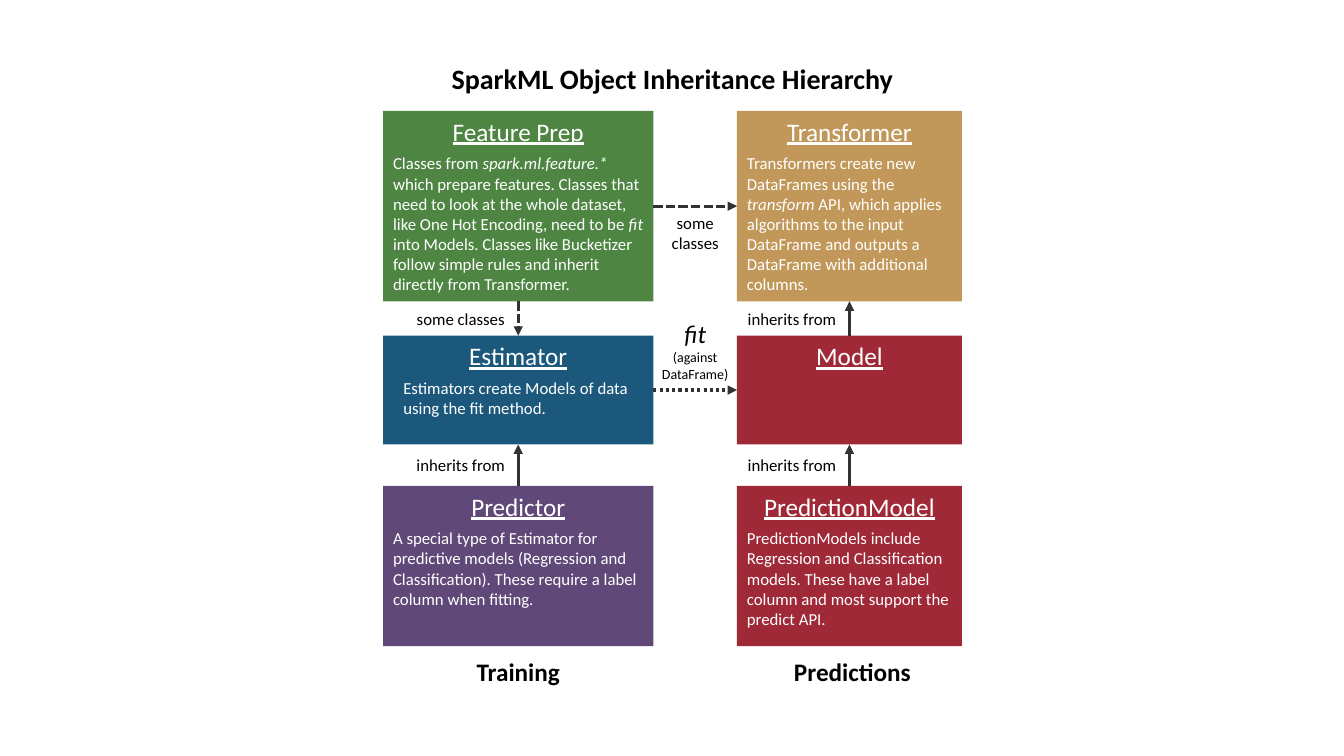
from lxml.etree import SubElement
from pptx import Presentation
from pptx.dml.color import RGBColor as Rgb
from pptx.enum.dml import MSO_LINE as Dash
from pptx.enum.shapes import MSO_CONNECTOR as Link, MSO_SHAPE as Form
from pptx.enum.text import MSO_ANCHOR as Anchor, MSO_AUTO_SIZE as Auto, PP_ALIGN as Align
from pptx.oxml.ns import qn
from pptx.util import Inches as In, Pt

COLORS = {
    "green": "4E8542", "gold": "C19859", "blue": "1B587C", "red": "9F2936",
    "purple": "604878", "white": "FFFFFF", "black": "000000", "line": "323232",
}
COLS = [(3.8, 2.68), (7.31, 2.23)]
ROWS = [(1.1, 1.89), (3.33, 1.08), (4.82, 1.59)]
MIDS = [left + width / 2 for left, width in COLS]
GAPS = [(top + high + low) / 2 for (top, high), (low, _) in zip(ROWS, ROWS[1:])]
AISLE = (sum(COLS[0]) + COLS[1][0]) / 2
TOP, LEFT, BOTTOM, RIGHT = range(4)

BOXES = {
    "prep": (0, 0, "green", "Feature Prep",
             "Classes from _spark.ml.feature.* _which prepare features. Classes that need to "
             "look at the whole dataset, like One Hot Encoding, need to be _fit_ into Models. "
             "Classes like Bucketizer follow simple rules and inherit directly from Transformer."),
    "trans": (1, 0, "gold", "Transformer",
              "Transformers create new DataFrames using the _transform_ API, which applies "
              "algorithms to the input DataFrame and outputs a DataFrame with additional columns."),
    "estim": (0, 1, "blue", "Estimator",
              "Estimators create Models of data using the fit method."),
    "model": (1, 1, "red", "Model", ""),
    "predict": (0, 2, "purple", "Predictor",
                "A special type of Estimator for predictive models (Regression and "
                "Classification). These require a label column when fitting."),
    "pmodel": (1, 2, "red", "PredictionModel",
               "PredictionModels include Regression and Classification models. These have a "
               "label column and most support the predict API."),
}
ARROWS = [
    ("prep", RIGHT, "trans", LEFT, Dash.SQUARE_DOT),
    ("prep", BOTTOM, "estim", TOP, Dash.SQUARE_DOT),
    ("estim", RIGHT, "model", LEFT, Dash.ROUND_DOT),
    ("model", TOP, "trans", BOTTOM, None),
    ("predict", TOP, "estim", BOTTOM, None),
    ("pmodel", TOP, "model", BOTTOM, None),
]
DASHES = {Dash.SQUARE_DOT: "sysDash", Dash.ROUND_DOT: "sysDot"}


def write(frame, text, size=12, color="black", align=Align.CENTER,
          bold=False, italic=False, under=False, before=0):
    para = frame.paragraphs[0]
    if para.runs:
        para = frame.add_paragraph()
    para.alignment = align
    para.space_before = Pt(before)
    for spot, part in enumerate(text.split("_")):
        run = para.add_run()
        run.text = part
        font = run.font
        font.name, font.size = "Calibri", Pt(size)
        font.bold, font.underline = bold, under
        font.italic = italic or spot % 2 == 1
        font.color.rgb = Rgb.from_string(COLORS[color])


def box(slide, col, row, color, name, body, inset=0.1):
    (left, width), (top, high) = COLS[col], ROWS[row]
    shape = slide.shapes.add_shape(Form.RECTANGLE, In(left), In(top), In(width), In(high))
    shape.shadow.inherit = False
    shape.fill.solid()
    shape.fill.fore_color.rgb = Rgb.from_string(COLORS[color])
    shape.line.fill.background()
    frame = shape.text_frame
    frame.word_wrap = True
    frame.vertical_anchor = Anchor.TOP
    frame.margin_left = frame.margin_right = In(inset)
    write(frame, name, size=18, color="white", under=True)
    if body:
        write(frame, body, color="white", align=Align.LEFT, before=5)
    return shape


def label(slide, mid, level, width, high, *lines, **style):
    area = slide.shapes.add_textbox(
        In(mid - width / 2), In(level - high / 2), In(width), In(high))
    frame = area.text_frame
    frame.word_wrap = False
    frame.auto_size = Auto.SHAPE_TO_FIT_TEXT
    for line in lines:
        write(frame, line, **style)
    return frame


def arrow(slide, start, out, end, into, dash):
    link = slide.shapes.add_connector(Link.STRAIGHT, 0, 0, 0, 0)
    link.begin_connect(start, out)
    link.end_connect(end, into)
    link.line.width = Pt(2.25)
    link.line.color.rgb = Rgb.from_string(COLORS["line"])
    stroke = link.line._get_or_add_ln()
    if dash:
        SubElement(stroke, qn("a:prstDash"), val=DASHES[dash])
    SubElement(stroke, qn("a:tailEnd"), type="triangle")
    SubElement(link._element.spPr, qn("a:effectLst"))


def main():
    deck = Presentation()
    deck.slide_width, deck.slide_height = In(13.33), In(7.5)
    slide = deck.slides.add_slide(deck.slide_layouts[6])

    label(slide, 6.67, 0.78, 4.62, 0.44, "SparkML Object Inheritance Hierarchy",
          size=20, bold=True)
    boxes = {key: box(slide, *spec_row, inset=0.2 if key == "estim" else 0.1)
             for key, spec_row in BOXES.items()}
    for start, out, end, into, dash in ARROWS:
        arrow(slide, boxes[start], out, boxes[end], into, dash)

    for col, gap, text in [(0, 0, "some classes"), (0, 1, "inherits from"),
                           (1, 0, "inherits from"), (1, 1, "inherits from")]:
        label(slide, MIDS[col] - 0.57, GAPS[gap], 1.09, 0.3, text)
    label(slide, AISLE, 2.31, 0.68, 0.5, "some", "classes")
    frame = label(slide, AISLE, 3.48, 0.87, 0.74, "fit", size=18, italic=True)
    for line in ("(against", "DataFrame)"):
        write(frame, line, size=10)

    label(slide, MIDS[0], 6.66, 1.03, 0.4, "Training", size=18, bold=True)
    label(slide, MIDS[1] + 0.03, 6.66, 1.37, 0.4, "Predictions", size=18, bold=True)
    deck.save("out.pptx")


if __name__ == "__main__":
    main()
